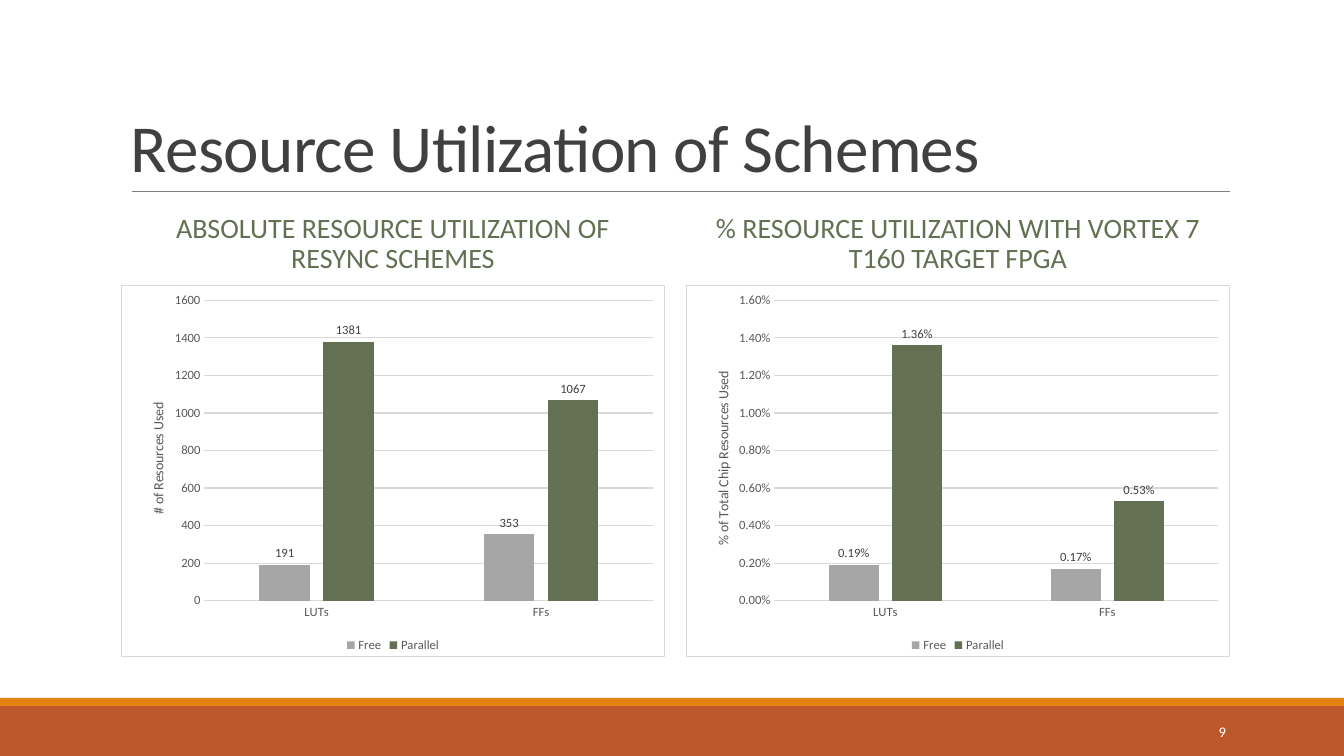
from dataclasses import dataclass

from lxml.etree import SubElement
from pptx import Presentation
from pptx.chart.data import CategoryChartData
from pptx.dml.color import RGBColor
from pptx.enum.chart import XL_CHART_TYPE as ChartType
from pptx.enum.chart import XL_LABEL_POSITION as LabelPos
from pptx.enum.chart import XL_LEGEND_POSITION as LegendPos
from pptx.enum.chart import XL_TICK_MARK as Tick
from pptx.enum.shapes import MSO_CONNECTOR as Connector
from pptx.enum.shapes import MSO_SHAPE as Shape
from pptx.enum.text import MSO_ANCHOR as Anchor
from pptx.enum.text import PP_ALIGN as Align
from pptx.oxml import parse_xml
from pptx.oxml.ns import nsdecls, qn
from pptx.util import Pt

EMU_PER_PX = 12192000 / 1344


@dataclass(frozen=True)
class Theme:
    """Colours, font and type sizes of the deck."""
    font: str = "Calibri"
    white: str = "FFFFFF"
    band: str = "BD582C"
    accent: str = "E48312"
    rule: str = "808080"
    dark: str = "404040"
    muted: str = "595959"
    grid: str = "D9D9D9"
    grey: str = "A6A6A6"
    green: str = "637052"
    title: float = 48
    heading: float = 20
    axis_title: float = 10
    chart: float = 9
    page: float = 10.5


THEME = Theme()


def px(*lengths):
    """Convert pixel lengths to EMU."""
    return [round(n * EMU_PER_PX) for n in lengths]


def rgb(colour):
    """Return a colour object for a hex string."""
    return RGBColor.from_string(colour)


def style_font(font, size, colour):
    """Apply the deck font with a size and colour."""
    font.name, font.size, font.bold = THEME.font, Pt(size), False
    font.color.rgb = rgb(colour)


def style_line(line, colour, width):
    """Apply a solid line colour and width."""
    line.color.rgb = rgb(colour)
    line.width = Pt(width)


def add_band(slide, box, colour):
    """Add a plain filled rectangle."""
    sp = slide.shapes.add_shape(Shape.RECTANGLE, *px(*box))
    sp.shadow.inherit = False
    sp.fill.solid()
    sp.fill.fore_color.rgb = rgb(colour)
    sp.line.fill.background()


def add_rule(slide, ends):
    """Add the thin line under the title."""
    line = slide.shapes.add_connector(Connector.STRAIGHT, *px(*ends))
    style_line(line.line, THEME.rule, 0.5)
    SubElement(line._element.spPr, qn("a:effectLst"))


def add_text(slide, box, text, size, colour, align=Align.LEFT,
             anchor=Anchor.MIDDLE, spacing=1.0):
    """Add a one-paragraph text box and return its run."""
    tf = slide.shapes.add_textbox(*px(*box)).text_frame
    tf.word_wrap = True
    tf.vertical_anchor = anchor
    p = tf.paragraphs[0]
    p.alignment, p.line_spacing = align, spacing
    style_font(p.font, size, colour)
    r = p.add_run()
    r.text = text
    return r


def place(element, index, **fractions):
    """Give a chart part a manual layout at a child index."""
    for old in element.findall(qn("c:layout")):
        element.remove(old)
    layout = parse_xml(f"<c:layout {nsdecls('c')}><c:manualLayout/></c:layout>")
    element.insert(index, layout)
    manual = layout[0]
    if "w" in fractions:
        SubElement(manual, qn("c:layoutTarget")).set("val", "inner")
    for side in "xy":
        SubElement(manual, qn(f"c:{side}Mode")).set("val", "edge")
    for key, value in fractions.items():
        SubElement(manual, qn(f"c:{key}")).set("val", f"{value:.4f}")


def frame_chart(chart):
    """Give the chart area a white fill and a thin border."""
    chart._chartSpace.find(qn("c:chart")).addnext(parse_xml(
        f"<c:spPr {nsdecls('c', 'a')}>"
        f'<a:solidFill><a:srgbClr val="{THEME.white}"/></a:solidFill>'
        f'<a:ln w="{Pt(0.75)}"><a:solidFill><a:srgbClr val="{THEME.grid}"/>'
        "</a:solidFill></a:ln></c:spPr>"))


def style_axes(chart, title, fmt, top):
    """Format both axes and the value axis title."""
    cat, val = chart.category_axis, chart.value_axis
    for axis in (cat, val):
        axis.major_tick_mark = axis.minor_tick_mark = Tick.NONE
        style_font(axis.tick_labels.font, THEME.chart, THEME.muted)
    style_line(cat.format.line, THEME.grid, 0.75)
    val.format.line.fill.background()
    style_line(val.major_gridlines.format.line, THEME.grid, 0.75)
    val.minimum_scale, val.maximum_scale, val.major_unit = 0, top, top / 8
    val.tick_labels.number_format = fmt
    val.tick_labels.number_format_is_linked = False
    p = val.axis_title.text_frame.paragraphs[0]
    p.text = title
    style_font(p.font, THEME.axis_title, THEME.muted)


def style_series(chart, fmt):
    """Colour the bars and label them above their ends."""
    plot = chart.plots[0]
    plot.vary_by_categories = False
    plot.gap_width, plot.overlap = 219, -27
    for series, colour in zip(plot.series, (THEME.grey, THEME.green)):
        series.format.fill.solid()
        series.format.fill.fore_color.rgb = rgb(colour)
        labels = series.data_labels
        labels.show_value = True
        labels.position = LabelPos.OUTSIDE_END
        labels.number_format, labels.number_format_is_linked = fmt, False
        style_font(labels.font, THEME.chart, THEME.dark)


def add_column_chart(slide, left, title, title_top, plot_left, fmt, top,
                     free, parallel):
    """Add one framed column chart comparing the two schemes."""
    width, height = 544, 372
    data = CategoryChartData(number_format=fmt)
    data.categories = ["LUTs", "FFs"]
    data.add_series("Free", free)
    data.add_series("Parallel", parallel)
    chart = slide.shapes.add_chart(
        ChartType.COLUMN_CLUSTERED, *px(left, 285, width, height), data).chart
    style_font(chart.font, THEME.chart, THEME.muted)
    chart.has_title = False
    chart.has_legend = True
    chart.legend.position = LegendPos.BOTTOM
    chart.legend.include_in_layout = False
    style_font(chart.legend.font, THEME.chart, THEME.muted)
    frame_chart(chart)
    style_axes(chart, title, fmt, top)
    style_series(chart, fmt)
    place(chart._chartSpace.chart.plotArea, 0, x=plot_left / width,
          y=15 / height, w=(533 - plot_left) / width, h=301 / height)
    place(chart.value_axis.axis_title._element, 1,
          x=25 / width, y=title_top / height)


def main():
    """Build and save the slide."""
    prs = Presentation()
    prs.slide_width, prs.slide_height = px(1344, 756)
    slide = prs.slides.add_slide(prs.slide_layouts[6])
    add_band(slide, (0, 706, 1344, 50), THEME.band)
    add_band(slide, (0, 698, 1344, 8), THEME.accent)
    add_rule(slide, (132, 191, 1230, 191))
    r = add_text(slide, (121, 31, 1109, 160), "Resource Utilization of Schemes",
                 THEME.title, THEME.dark, anchor=Anchor.BOTTOM, spacing=0.85)
    r._r.get_or_add_rPr().set("spc", "-50")
    panels = (
        (121, "ABSOLUTE RESOURCE UTILIZATION OF RESYNC SCHEMES",
         ("# of Resources Used", 115, 83, "General", 1600,
          (191, 353), (1381, 1067))),
        (686, "% RESOURCE UTILIZATION WITH VORTEX 7 T160 TARGET FPGA",
         ("% of Total Chip Resources Used", 84, 88, "0.00%", 0.016,
          (0.0019, 0.0017), (0.0136, 0.0053))),
    )
    for left, heading, chart in panels:
        add_text(slide, (left, 204, 544, 81), heading, THEME.heading,
                 THEME.green, Align.CENTER, spacing=0.9)
        add_column_chart(slide, left, *chart)
    add_text(slide, (1092, 712, 144, 40), "9", THEME.page, THEME.white,
             Align.RIGHT)
    prs.save("out.pptx")


if __name__ == "__main__":
    main()
